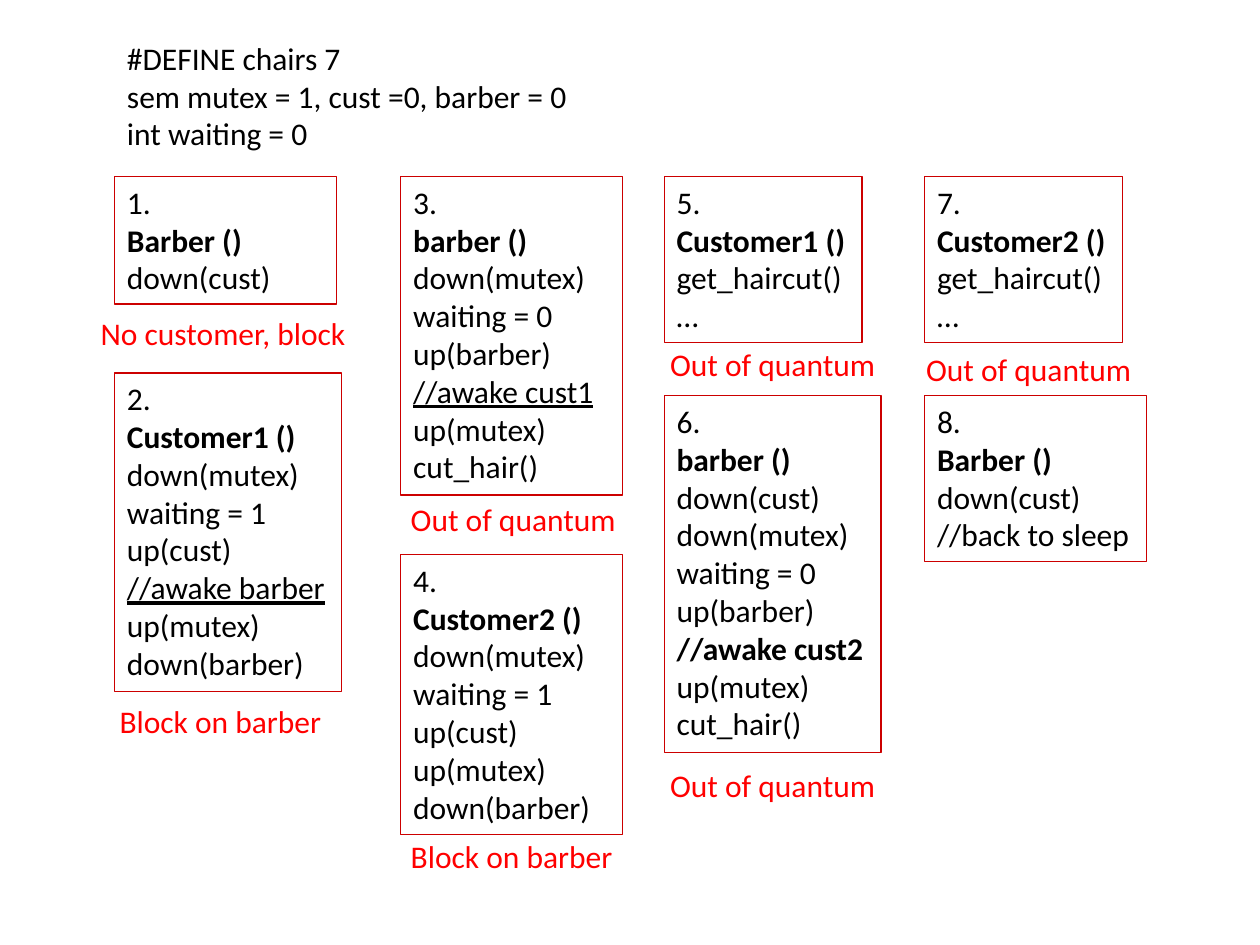
from pptx import Presentation
from pptx.dml.color import RGBColor
from pptx.enum.shapes import MSO_SHAPE
from pptx.enum.text import MSO_ANCHOR, MSO_AUTO_SIZE, PP_ALIGN
from pptx.util import Cm, Pt

RECT = MSO_SHAPE.RECTANGLE
TOP = MSO_ANCHOR.TOP
GROW = MSO_AUTO_SIZE.SHAPE_TO_FIT_TEXT
LEFT = PP_ALIGN.LEFT

BLACK = RGBColor(0x00, 0x00, 0x00)
RED = RGBColor(0xFF, 0x00, 0x00)
EDGE = RGBColor(0xCC, 0x00, 0x00)

UNDER = ("//awake barber", "//awake cust1")
STRONG = ("//awake cust2",)


def height(lines):
    return Cm(0.77 * len(lines) + 0.26)


def write(shape, lines, color, wrap=False, head=None):
    """Fill a shape with one paragraph per line; head is the bold line."""
    frame = shape.text_frame
    frame.word_wrap = wrap
    frame.auto_size = GROW
    frame.vertical_anchor = TOP
    for i, line in enumerate(lines):
        para = frame.paragraphs[0] if i == 0 else frame.add_paragraph()
        para.alignment = LEFT
        run = para.add_run()
        run.text = line
        font = run.font
        font.name = "Calibri"
        font.size = Pt(18)
        font.color.rgb = color
        font.bold = i == head or line in STRONG
        font.underline = line in UNDER


deck = Presentation()
deck.slide_width = Cm(25.4)
deck.slide_height = Cm(19.05)
slide = deck.slides.add_slide(deck.slide_layouts[6])
shapes = slide.shapes

# Shared variables
setup = ["#DEFINE chairs 7", "sem mutex = 1, cust =0, barber = 0",
         "int waiting = 0"]
box = shapes.add_textbox(Cm(2.31), Cm(0.66), Cm(9.5), height(setup))
write(box, setup, BLACK)

# Numbered steps: left, top, width, wrap, lines
COLS = (2.31, 8.08, 13.39, 18.64)
ROW = 3.56
LOW = 7.98
steps = [
    (COLS[0], ROW, 4.47, True, ["Barber ()", "down(cust)"]),
    (COLS[0], 7.52, 4.57, False,
     ["Customer1 ()", "down(mutex)", "waiting = 1", "up(cust)",
      "//awake barber", "up(mutex)", "down(barber)"]),
    (COLS[1], ROW, 4.47, True,
     ["barber ()", "down(mutex)", "waiting = 0", "up(barber)",
      "//awake cust1", "up(mutex)", "cut_hair()"]),
    (COLS[1], 11.18, 4.47, True,
     ["Customer2 ()", "down(mutex)", "waiting = 1", "up(cust)",
      "up(mutex)", "down(barber)"]),
    (COLS[2], ROW, 3.99, False, ["Customer1 ()", "get_haircut()", "…"]),
    (COLS[2], LOW, 4.37, False,
     ["barber ()", "down(cust)", "down(mutex)", "waiting = 0", "up(barber)",
      "//awake cust2", "up(mutex)", "cut_hair()"]),
    (COLS[3], ROW, 3.99, False, ["Customer2 ()", "get_haircut()", "…"]),
    (COLS[3], LOW, 4.47, True,
     ["Barber ()", "down(cust)", "//back to sleep"]),
]
for num, (x, y, wide, wrap, code) in enumerate(steps, 1):
    lines = [f"{num}."] + code
    box = shapes.add_shape(RECT, Cm(x), Cm(y), Cm(wide), height(lines))
    box.shadow.inherit = False
    box.fill.background()
    box.line.color.rgb = EDGE
    box.line.width = Pt(0.75)
    write(box, lines, BLACK, wrap, head=1)

# Red outcome under each step
notes = [
    (1.78, 6.2, 5.56, "No customer, block"),
    (2.16, 14.02, 4.62, "Block on barber"),
    (8.03, 9.96, 4.7, "Out of quantum"),
    (8.03, 16.74, 4.62, "Block on barber"),
    (13.26, 6.83, 4.7, "Out of quantum"),
    (13.26, 15.32, 4.7, "Out of quantum"),
    (18.42, 6.93, 4.7, "Out of quantum"),
]
for x, y, wide, note in notes:
    box = shapes.add_textbox(Cm(x), Cm(y), Cm(wide), height([note]))
    write(box, [note], RED)

deck.save("out.pptx")
